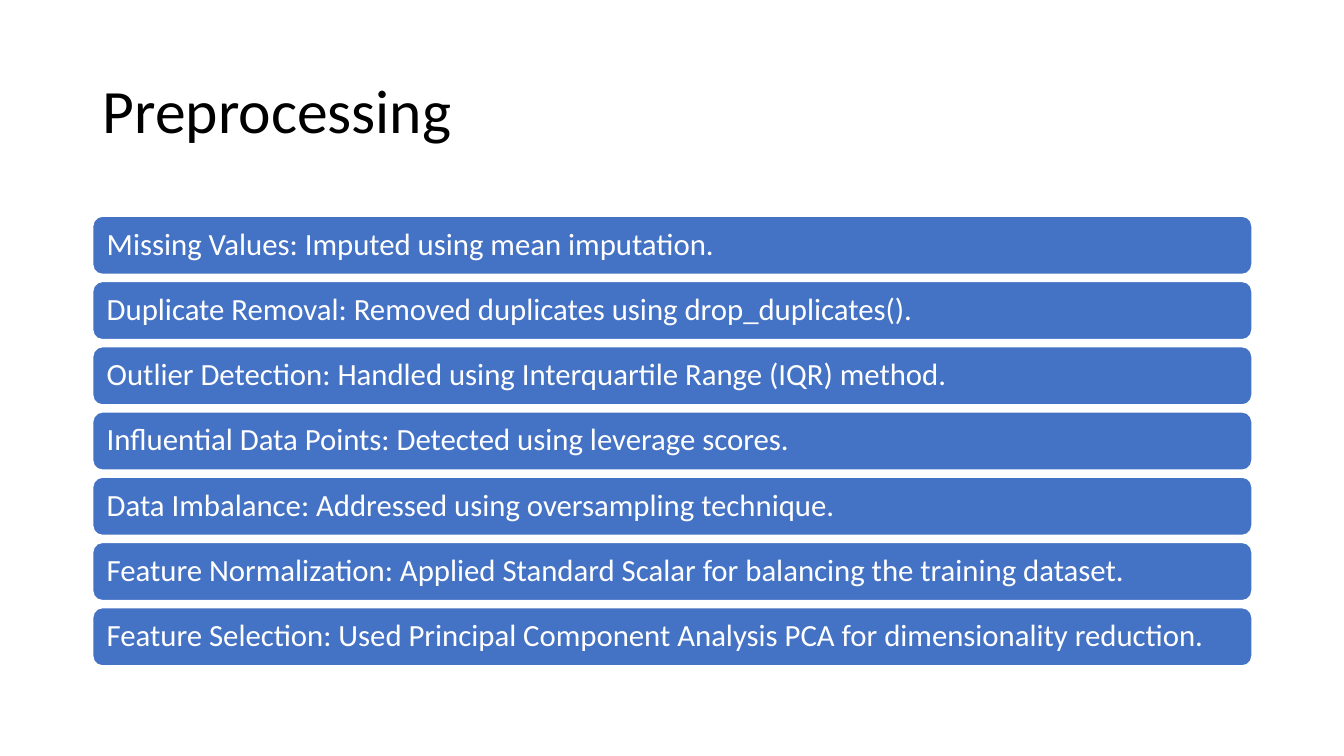
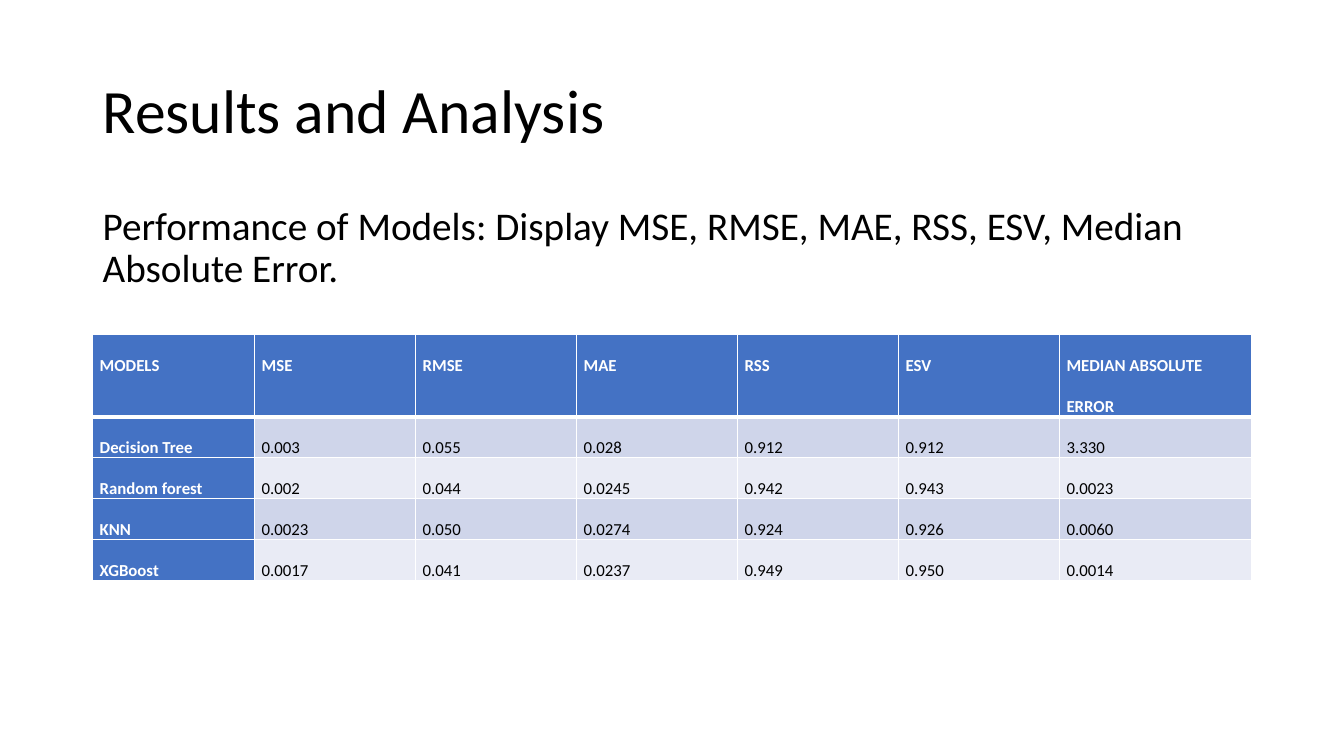
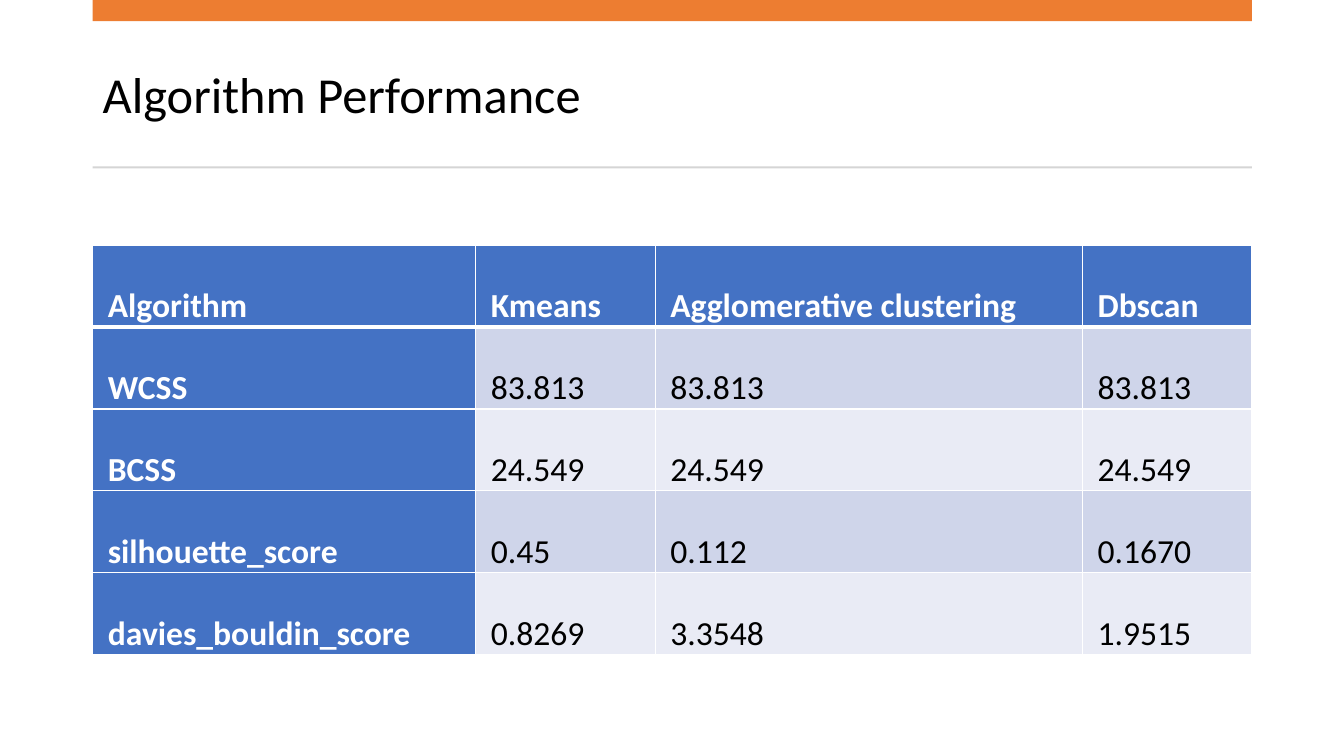
from lxml.etree import SubElement
from pptx import Presentation
from pptx.dml.color import RGBColor
from pptx.enum.shapes import MSO_SHAPE as Preset
from pptx.enum.text import MSO_ANCHOR as Anchor, PP_ALIGN as Align
from pptx.oxml.ns import qn
from pptx.util import Inches, Pt

BLACK = RGBColor(0x00, 0x00, 0x00)
WHITE = RGBColor(0xFF, 0xFF, 0xFF)
BLUE = RGBColor(0x44, 0x72, 0xC4)
ORANGE = RGBColor(0xED, 0x7D, 0x31)
GREY = RGBColor(0xD5, 0xD5, 0xD5)
BANDS = (RGBColor(0xCF, 0xD5, 0xEA), RGBColor(0xE9, 0xEB, 0xF5))


class Deck:
    font = "Calibri"
    left, width = 6.9, 86.25

    def __init__(self):
        self.presentation = Presentation()
        self.presentation.slide_width = Inches(13.33)
        self.presentation.slide_height = Inches(7.5)
        self.slide = None

    def across(self, percent):
        return round(self.presentation.slide_width * percent / 100)

    def down(self, percent):
        return round(self.presentation.slide_height * percent / 100)

    def frame(self, top, height):
        return self.across(self.left), self.down(top), self.across(self.width), self.down(height)

    def add_slide(self, title, top=5.33, height=19.33, size=44):
        layout = self.presentation.slide_layouts[6]
        self.slide = self.presentation.slides.add_slide(layout)
        self.text(title, top, height, size, Anchor.MIDDLE)

    def add_text(self, text_frame, text, size, color=BLACK, bold=False, spacing=0.9):
        paragraph = text_frame.paragraphs[0]
        paragraph.alignment = Align.LEFT
        paragraph.line_spacing = spacing
        run = paragraph.add_run()
        run.text = text
        run.font.name = self.font
        run.font.size = Pt(size)
        run.font.bold = bold
        run.font.color.rgb = color

    def text(self, text, top, height, size, anchor=Anchor.TOP):
        text_frame = self.slide.shapes.add_textbox(*self.frame(top, height)).text_frame
        text_frame.word_wrap = True
        text_frame.vertical_anchor = anchor
        self.add_text(text_frame, text, size)

    def block(self, top, height, color, preset=Preset.RECTANGLE):
        shape = self.slide.shapes.add_shape(preset, *self.frame(top, height))
        shape.shadow.inherit = False
        shape.fill.solid()
        shape.fill.fore_color.rgb = color
        shape.line.fill.background()
        return shape

    def bar(self, text, top, height):
        shape = self.block(top, height, BLUE, Preset.ROUNDED_RECTANGLE)
        shape.line.color.rgb = WHITE
        shape.line.width = Pt(1)
        text_frame = shape.text_frame
        text_frame.word_wrap = True
        text_frame.vertical_anchor = Anchor.MIDDLE
        text_frame.margin_left = text_frame.margin_right = Pt(8)
        self.add_text(text_frame, text, 22, WHITE)

    def bars(self, texts, top, height, pitch):
        for index, text in enumerate(texts):
            self.bar(text, top + index * pitch, height)

    def borders(self, cell, top, bottom):
        properties = cell._tc.get_or_add_tcPr()
        for side, points in (("L", 1), ("R", 1), ("T", top), ("B", bottom)):
            line = SubElement(properties, qn(f"a:ln{side}"), w=str(Pt(points)))
            fill = SubElement(line, qn("a:solidFill"))
            SubElement(fill, qn("a:srgbClr"), val=str(WHITE))

    def cell(self, cell, text, row, column, size, inset):
        heading = row == 0 or column == 0
        self.borders(cell, 3 if row == 1 else 1, 3 if row == 0 else 1)
        cell.fill.solid()
        cell.fill.fore_color.rgb = BLUE if heading else BANDS[(row - 1) % 2]
        cell.margin_left = cell.margin_right = Pt(inset)
        cell.margin_top = cell.margin_bottom = 0
        self.add_text(cell.text_frame, text, size, WHITE if heading else BLACK, heading, 2.0)

    def table(self, records, top, weights, heights, size, inset):
        graphic = self.slide.shapes.add_table(
            len(records), len(weights), *self.frame(top, sum(heights)))
        table = graphic.table
        for column, weight in zip(table.columns, weights):
            column.width = self.across(self.width * weight / sum(weights))
        for row, height in zip(table.rows, heights):
            row.height = self.down(height)
        for row, record in enumerate(records):
            for column, text in enumerate(record):
                self.cell(table.cell(row, column), text, row, column, size, inset)


def preprocessing(deck):
    deck.add_slide("Preprocessing")
    deck.bars((
        "Missing Values: Imputed using mean imputation.",
        "Duplicate Removal: Removed duplicates using drop_duplicates().",
        "Outlier Detection: Handled using Interquartile Range (IQR) method.",
        "Influential Data Points: Detected using leverage scores.",
        "Data Imbalance: Addressed using oversampling technique.",
        "Feature Normalization: Applied Standard Scalar for balancing the training dataset.",
        "Feature Selection: Used Principal Component Analysis PCA for dimensionality reduction.",
    ), top=28.6, height=7.7, pitch=8.63)


def results(deck):
    deck.add_slide("Results and Analysis")
    deck.text("Performance of Models: Display MSE, RMSE, MAE, RSS, ESV, Median Absolute Error.",
              26.67, 63.47, 28)
    deck.table((
        ("MODELS", "MSE", "RMSE", "MAE", "RSS", "ESV", "MEDIAN ABSOLUTE ERROR"),
        ("Decision Tree", "0.003", "0.055", "0.028", "0.912", "0.912", "3.330"),
        ("Random forest", "0.002", "0.044", "0.0245", "0.942", "0.943", "0.0023"),
        ("KNN", "0.0023", "0.050", "0.0274", "0.924", "0.926", "0.0060"),
        ("XGBoost", "0.0017", "0.041", "0.0237", "0.949", "0.950", "0.0014"),
    ), top=44.3, weights=[1.61] + [1.6] * 5 + [1.91],
        heights=[10.85] + [5.42] * 4, size=12, inset=5)


def algorithms(deck):
    deck.add_slide("Algorithm Performance", top=4.93, height=15.73, size=36)
    deck.block(0, 2.8, ORANGE)
    deck.block(22, 0.27, GREY)
    deck.table((
        ("Algorithm", "Kmeans", "Agglomerative clustering", "Dbscan"),
        ("WCSS", "83.813", "83.813", "83.813"),
        ("BCSS", "24.549", "24.549", "24.549"),
        ("silhouette_score", "0.45", "0.112", "0.1670"),
        ("davies_bouldin_score", "0.8269", "3.3548", "1.9515"),
    ), top=32.4, weights=[3.8, 1.78, 4.24, 1.68],
        heights=[10.85] * 5, size=24, inset=10.8)


def main():
    deck = Deck()
    for build in (preprocessing, results, algorithms):
        build(deck)
    deck.presentation.save("out.pptx")


if __name__ == "__main__":
    main()
